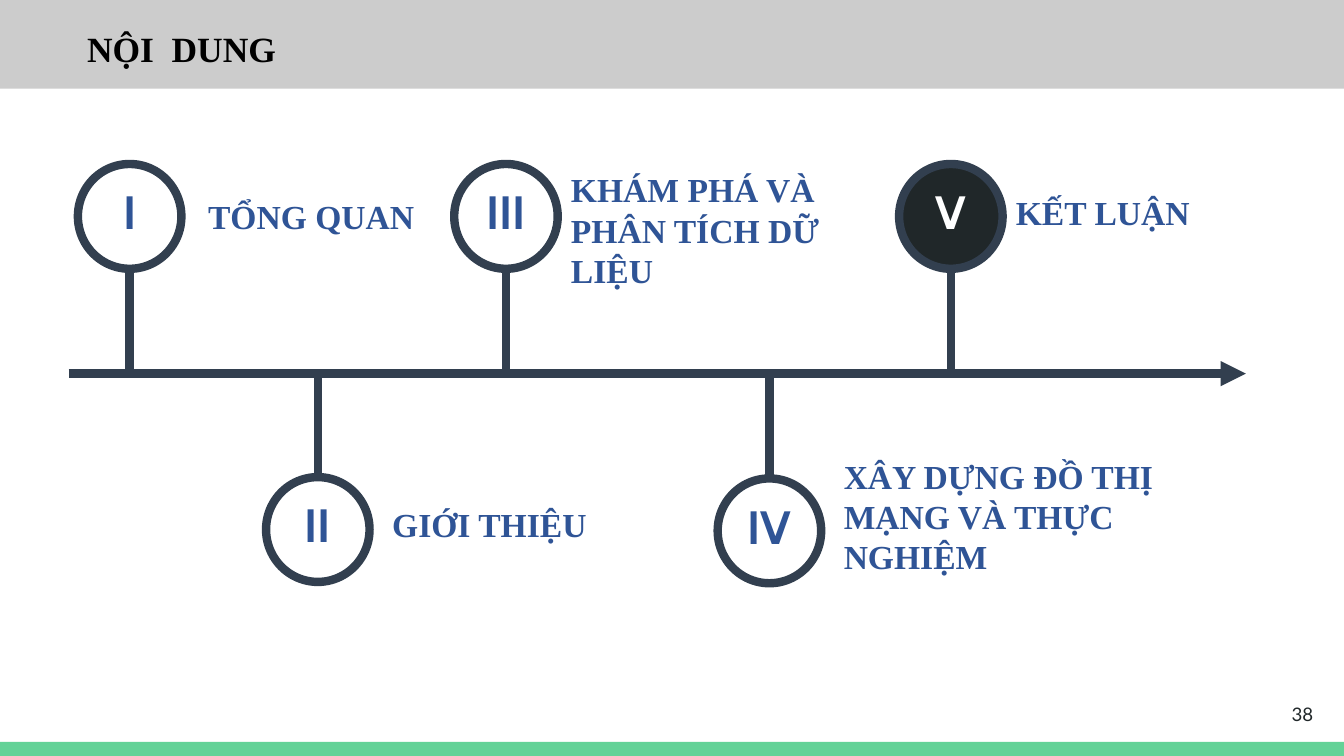
from lxml import etree
from pptx import Presentation
from pptx.dml.color import RGBColor
from pptx.enum.shapes import MSO_CONNECTOR, MSO_SHAPE
from pptx.enum.text import MSO_ANCHOR, PP_ALIGN
from pptx.oxml.ns import qn
from pptx.util import Inches, Pt

LINE = MSO_CONNECTOR.STRAIGHT
RECT, OVAL = MSO_SHAPE.RECTANGLE, MSO_SHAPE.OVAL
TOP, MID = MSO_ANCHOR.TOP, MSO_ANCHOR.MIDDLE
LEFT, MIDDLE, RIGHT = PP_ALIGN.LEFT, PP_ALIGN.CENTER, PP_ALIGN.RIGHT

# Content: numeral, circle left and top, label, label box, is it current
STEPS = [
    ("I", 0.58, 1.22, "TỔNG QUAN", (1.45, 1.41, 1.83, 0.4), False),
    ("II", 1.98, 3.55, "GIỚI THIỆU", (2.82, 3.7, 2.77, 0.4), False),
    ("III", 3.38, 1.22, "KHÁM PHÁ VÀ PHÂN TÍCH DỮ LIỆU",
     (4.15, 1.21, 2.12, 1.01), False),
    ("IV", 5.34, 3.56, "XÂY DỰNG ĐỒ THỊ MẠNG VÀ THỰC NGHIỆM",
     (6.18, 3.34, 2.77, 1.01), False),
    ("V", 6.69, 1.22, "KẾT LUẬN", (7.46, 1.38, 2.12, 0.4), True),
]
TITLE = "NỘI  DUNG"
PAGE = "38"

COLORS = {"green": "63D297", "gray": "CCCCCC", "slate": "323F4F",
          "blue": "2F5496", "dark": "202729", "white": "FFFFFF",
          "black": "000000"}
SERIF = "Times New Roman"
WIDE, TALL = 0.77, 0.78     # circle size
AXIS = 2.78                 # height of the time line
STROKE = 4.5

# A 16:9 slide
prs = Presentation()
prs.slide_width = Inches(10)
prs.slide_height = prs.slide_width * 9 // 16
slide = prs.slides.add_slide(prs.slide_layouts[6])
shapes = slide.shapes


def color(name):
    return RGBColor.from_string(COLORS[name])


def add_shape(kind, box, fill, edge=None):
    shape = shapes.add_shape(kind, *map(Inches, box))
    shape.shadow.inherit = False
    shape.fill.solid()
    shape.fill.fore_color.rgb = color(fill)
    if edge:
        shape.line.color.rgb = color(edge)
        shape.line.width = Pt(STROKE)
    else:
        shape.line.fill.background()
    return shape


def add_line(x1, y1, x2, y2, arrow=False):
    line = shapes.add_connector(LINE, *map(Inches, (x1, y1, x2, y2)))
    line.line.color.rgb = color("slate")
    line.line.width = Pt(STROKE)
    if arrow:
        tail = etree.SubElement(line.line._get_or_add_ln(), qn("a:tailEnd"))
        tail.set("type", "triangle")
    etree.SubElement(line._element.spPr, qn("a:effectLst"))


def write(shape, text, size, face, tint, bold=True, align=LEFT, anchor=TOP):
    frame = shape.text_frame
    frame.word_wrap = True
    frame.vertical_anchor = anchor
    para = frame.paragraphs[0]
    para.text = text
    para.alignment = align
    font = para.font
    font.size, font.name, font.bold = Pt(size), face, bold
    font.color.rgb = color(tint)
    return para


def add_text(box, *args, **opts):
    shape = shapes.add_textbox(*map(Inches, box))
    write(shape, *args, **opts)


# Bottom bar and time line
add_shape(RECT, (0, 5.52, 10, 0.11), "green")
add_line(0.51, AXIS, 9.27, AXIS, arrow=True)

# Steps: circle, stem to the time line, label
for num, x, y, label, box, current in STEPS:
    fill, tint = ("dark", "white") if current else ("white", "blue")
    oval = add_shape(OVAL, (x, y, WIDE, TALL), fill, "slate")
    para = write(oval, num, 25, "Cabin", tint, align=MIDDLE, anchor=MID)
    para.line_spacing = 0.8
    mid = x + WIDE / 2
    add_line(mid, y + TALL if y < AXIS else y, mid, AXIS)
    add_text(box, label, 18, SERIF, "blue")

# Header and page number
add_shape(RECT, (0, -0.03, 10, 0.69), "gray")
add_text((0.55, 0.15, 6.05, 0.42), TITLE, 19, SERIF, "black")
add_text((9.27, 5.1, 0.6, 0.43), PAGE, 10, "Lato", "dark", bold=False,
         align=RIGHT, anchor=MID)

prs.save("out.pptx")
